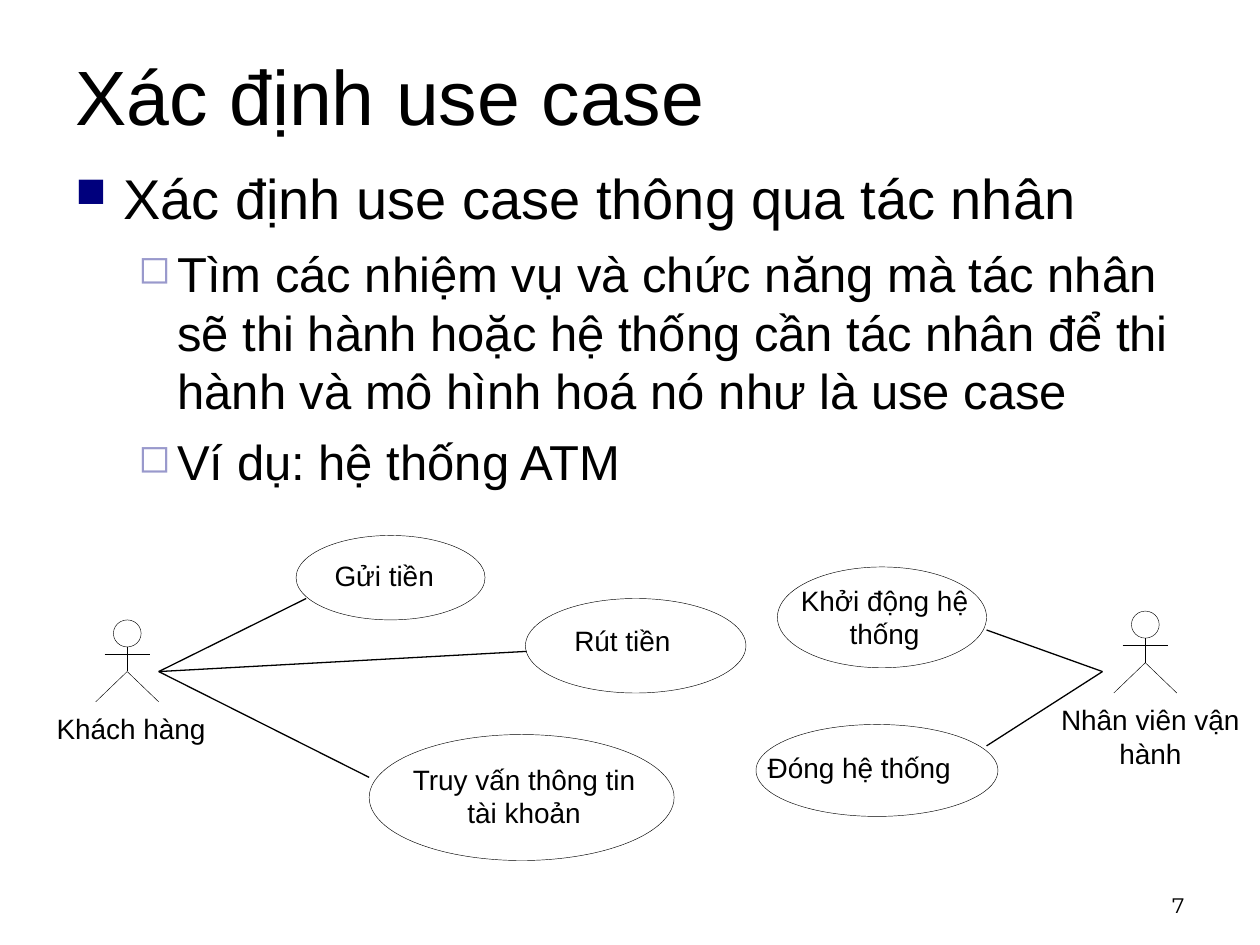
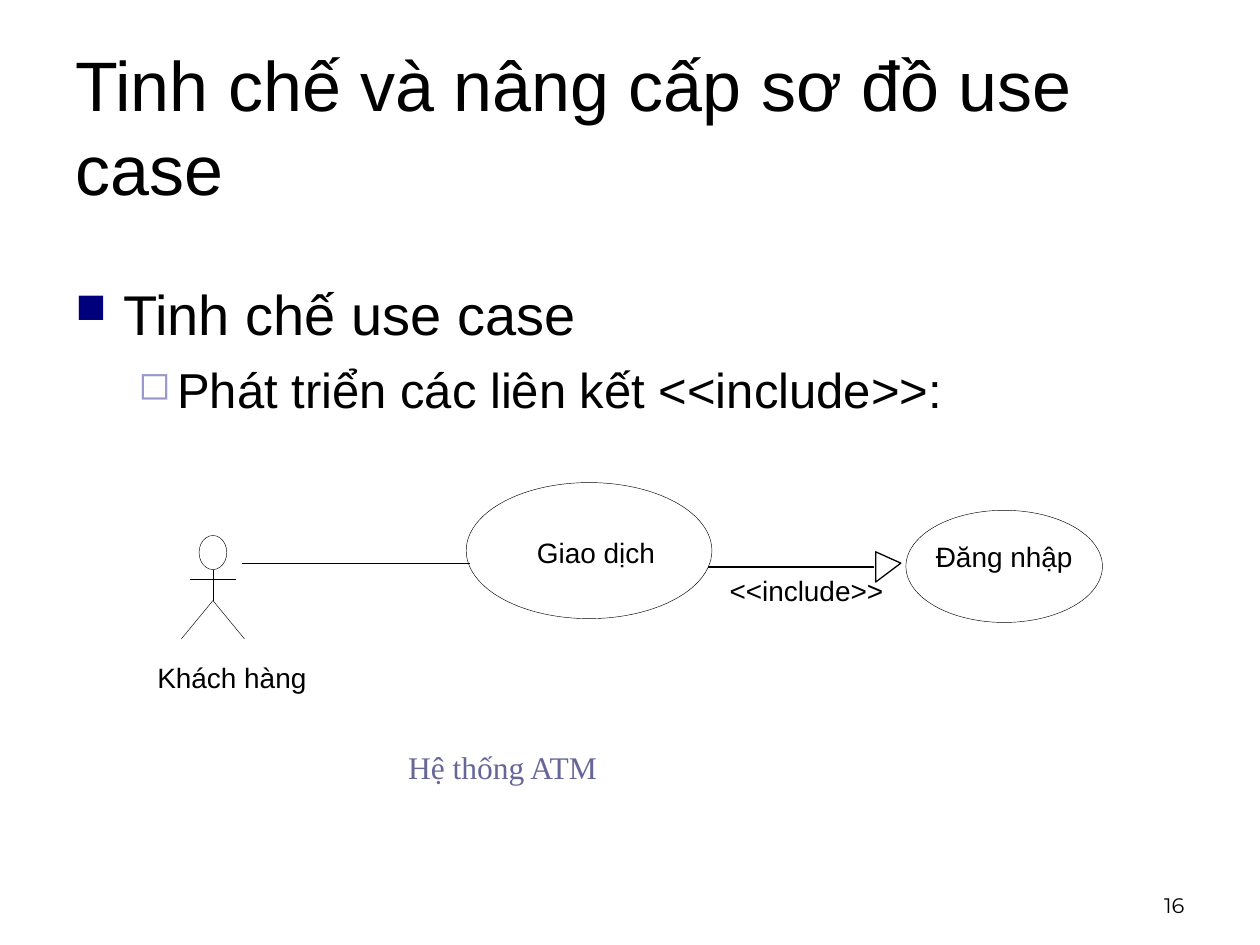
from dataclasses import dataclass

from lxml import etree
from pptx import Presentation
from pptx.dml.color import RGBColor
from pptx.enum.shapes import MSO_CONNECTOR, MSO_SHAPE
from pptx.enum.text import MSO_ANCHOR, PP_ALIGN
from pptx.oxml.ns import qn
from pptx.util import Inches, Pt

LEFT, CENTER, RIGHT = PP_ALIGN.LEFT, PP_ALIGN.CENTER, PP_ALIGN.RIGHT
TOP, MIDDLE, BOTTOM = MSO_ANCHOR.TOP, MSO_ANCHOR.MIDDLE, MSO_ANCHOR.BOTTOM
STRAIGHT, ELLIPSE = MSO_CONNECTOR.STRAIGHT, MSO_SHAPE.OVAL


@dataclass(frozen=True)
class Bullet:
    mark: str
    color: str
    mark_percent: int
    size: int
    margin: float
    hanging: float
    space_before: int


@dataclass(frozen=True)
class Theme:
    ink: str = "000000"
    caption: str = "666699"
    font: str = "Arial"
    number_font: str = "Montserrat"
    caption_font: str = "Times New Roman"
    title_size: int = 44
    long_title_size: int = 40
    label_size: int = 16
    caption_size: int = 18
    number_size: int = 12
    hairline: float = 0.25
    link_width: float = 0.75
    bullets: tuple = (
        Bullet("■", "00007D", 75, 32, 0.38, 0.38, 8),
        Bullet("◻", "9999CC", 80, 28, 0.81, 0.31, 7),
    )


class UseCaseDeck:
    def __init__(self, theme):
        self.theme = theme
        self.deck = Presentation()
        self.deck.slide_width, self.deck.slide_height = Inches(10), Inches(7.5)
        self.page = None

    def new_page(self, title, number, title_top=0, title_size=None):
        self.page = self.deck.slides.add_slide(self.deck.slide_layouts[6])
        theme = self.theme
        self.text(title, 0.5, title_top, 9, 1.5, title_size or theme.title_size, anchor=MIDDLE)
        self.text(str(number), 7.17, 6.83, 2.33, 0.5, theme.number_size,
                  font=theme.number_font, align=RIGHT, anchor=BOTTOM)

    def frame(self, left, top, width, height, anchor=TOP, inset=True):
        box = self.page.shapes.add_textbox(Inches(left), Inches(top), Inches(width), Inches(height))
        frame = box.text_frame
        frame.word_wrap = True
        frame.vertical_anchor = anchor
        if not inset:
            frame.margin_left = frame.margin_right = frame.margin_top = frame.margin_bottom = 0
        return frame

    def fill_paragraph(self, para, text, size, font=None, color=None, align=LEFT):
        para.text = text
        para.alignment = align
        para.font.size = Pt(size)
        para.font.name = font or self.theme.font
        para.font.color.rgb = RGBColor.from_string(color or self.theme.ink)

    def text(self, text, left, top, width, height, size, font=None, color=None,
             align=LEFT, anchor=TOP, inset=True):
        frame = self.frame(left, top, width, height, anchor, inset)
        self.fill_paragraph(frame.paragraphs[0], text, size, font, color, align)

    def label(self, text, center, top, width=1.5):
        """Diagram text centred on a given x position."""
        self.text(text, center - width / 2, top, width, 0.4, self.theme.label_size,
                  align=CENTER, inset=False)

    def bullet_list(self, top, items):
        """Place (level, text) items in the body area."""
        frame = self.frame(0.5, top, 9, 4.25)
        for index, (level, text) in enumerate(items):
            para = frame.add_paragraph() if index else frame.paragraphs[0]
            style = self.theme.bullets[level]
            self.fill_paragraph(para, text, style.size)
            para.level = level
            para.space_before = Pt(style.space_before)
            self.mark(para, style)

    def mark(self, para, style):
        properties = para._p.get_or_add_pPr()
        properties.set("marL", str(Inches(style.margin)))
        properties.set("indent", str(-Inches(style.hanging)))
        # The schema wants bullet parts ahead of the default run properties.
        defaults = properties.find(qn("a:defRPr"))
        color = etree.Element(qn("a:buClr"))
        etree.SubElement(color, qn("a:srgbClr"), val=style.color)
        size = etree.Element(qn("a:buSzPct"), val=str(style.mark_percent * 1000))
        char = etree.Element(qn("a:buChar"), char=style.mark)
        for part in (color, size, char):
            if defaults is None:
                properties.append(part)
            else:
                defaults.addprevious(part)

    def outline(self, shape, width):
        shape.shadow.inherit = False
        shape.fill.background()
        shape.line.color.rgb = RGBColor.from_string(self.theme.ink)
        shape.line.width = Pt(width)

    def ellipse(self, left, top, width, height):
        shape = self.page.shapes.add_shape(
            ELLIPSE, Inches(left), Inches(top), Inches(width), Inches(height))
        self.outline(shape, self.theme.hairline)

    def line(self, start, end, width=None):
        link = self.page.shapes.add_connector(STRAIGHT, *map(Inches, (*start, *end)))
        link.line.color.rgb = RGBColor.from_string(self.theme.ink)
        link.line.width = Pt(width or self.theme.link_width)
        etree.SubElement(link._element.spPr, qn("a:effectLst"))

    def polyline(self, points, width, close=False):
        first, *rest = [(Inches(x), Inches(y)) for x, y in points]
        builder = self.page.shapes.build_freeform(*first)
        builder.add_line_segments(rest, close=close)
        self.outline(builder.convert_to_shape(), width)

    def actor(self, center, top, height):
        """Stick figure whose joints sit at fixed shares of its height."""
        hairline = self.theme.hairline
        neck, arms, hip, feet = (top + height * share for share in (0.33, 0.42, 0.63, 1))
        self.ellipse(center - 0.11, top, 0.22, neck - top)
        self.line((center, neck), (center, hip), hairline)
        self.line((center - 0.18, arms), (center + 0.18, arms), hairline)
        self.polyline([(center - 0.25, feet), (center, hip), (center + 0.25, feet)], hairline)

    def use_case(self, text, oval, center, top, width=1.5):
        self.ellipse(*oval)
        self.label(text, center, top, width)


def finding_use_cases(deck):
    deck.new_page("Xác định use case", 7)
    deck.bullet_list(1.25, [
        (0, "Xác định use case thông qua tác nhân"),
        (1, "Tìm các nhiệm vụ và chức năng mà tác nhân sẽ thi hành hoặc hệ thống cần "
            "tác nhân để thi hành và mô hình hoá nó như là use case"),
        (1, "Ví dụ: hệ thống ATM"),
    ])
    deck.actor(1.01, 4.92, 0.65)
    deck.label("Khách hàng", 1.04, 5.65)
    deck.actor(9.09, 4.85, 0.65)
    deck.label("Nhân viên vận hành", 9.13, 5.58, 1.46)

    deck.use_case("Gửi tiền", (2.35, 4.25, 1.5, 0.67), 3.05, 4.43)
    deck.use_case("Rút tiền", (4.17, 4.75, 1.75, 0.75), 4.94, 4.95)
    deck.use_case("Truy vấn thông tin tài khoản", (2.93, 5.83, 2.42, 1), 4.16, 6.05, 1.83)
    deck.use_case("Khởi động hệ thống", (6.17, 4.5, 1.66, 0.8), 7.02, 4.63, 1.47)
    deck.use_case("Đóng hệ thống", (6, 5.75, 1.92, 0.73), 6.82, 5.96, 1.6)

    customer, operator = (1.26, 5.33), (8.75, 5.33)
    for end in ((2.43, 4.75), (4.18, 5.17), (2.93, 6.17)):
        deck.line(customer, end)
    for end in ((7.83, 5), (7.83, 5.92)):
        deck.line(operator, end)


def refining_use_cases(deck):
    theme = deck.theme
    deck.new_page("Tinh chế và nâng cấp sơ đồ use case", 16,
                  title_top=0.25, title_size=theme.long_title_size)
    deck.bullet_list(2.17, [
        (0, "Tinh chế use case"),
        (1, "Phát triển các liên kết <<include>>:"),
    ])
    deck.actor(1.69, 4.25, 0.82)
    deck.label("Khách hàng", 1.84, 5.24)
    deck.line((3.73, 4.47), (1.92, 4.47), theme.hairline)
    deck.use_case("Giao dịch", (3.7, 3.83, 1.95, 1.08), 4.73, 4.25)
    deck.use_case("Đăng nhập", (7.19, 4.05, 1.56, 0.89), 7.97, 4.28)
    deck.line((5.62, 4.5), (6.94, 4.5))
    deck.polyline([(7.15, 4.47), (6.95, 4.62), (6.95, 4.38)], theme.link_width, close=True)
    deck.label("<<include>>", 6.4, 4.55)
    deck.text("Hệ thống ATM", 3.14, 5.89, 1.91, 0.4, theme.caption_size,
              font=theme.caption_font, color=theme.caption)


def main():
    deck = UseCaseDeck(Theme())
    finding_use_cases(deck)
    refining_use_cases(deck)
    deck.deck.save("out.pptx")


if __name__ == "__main__":
    main()
